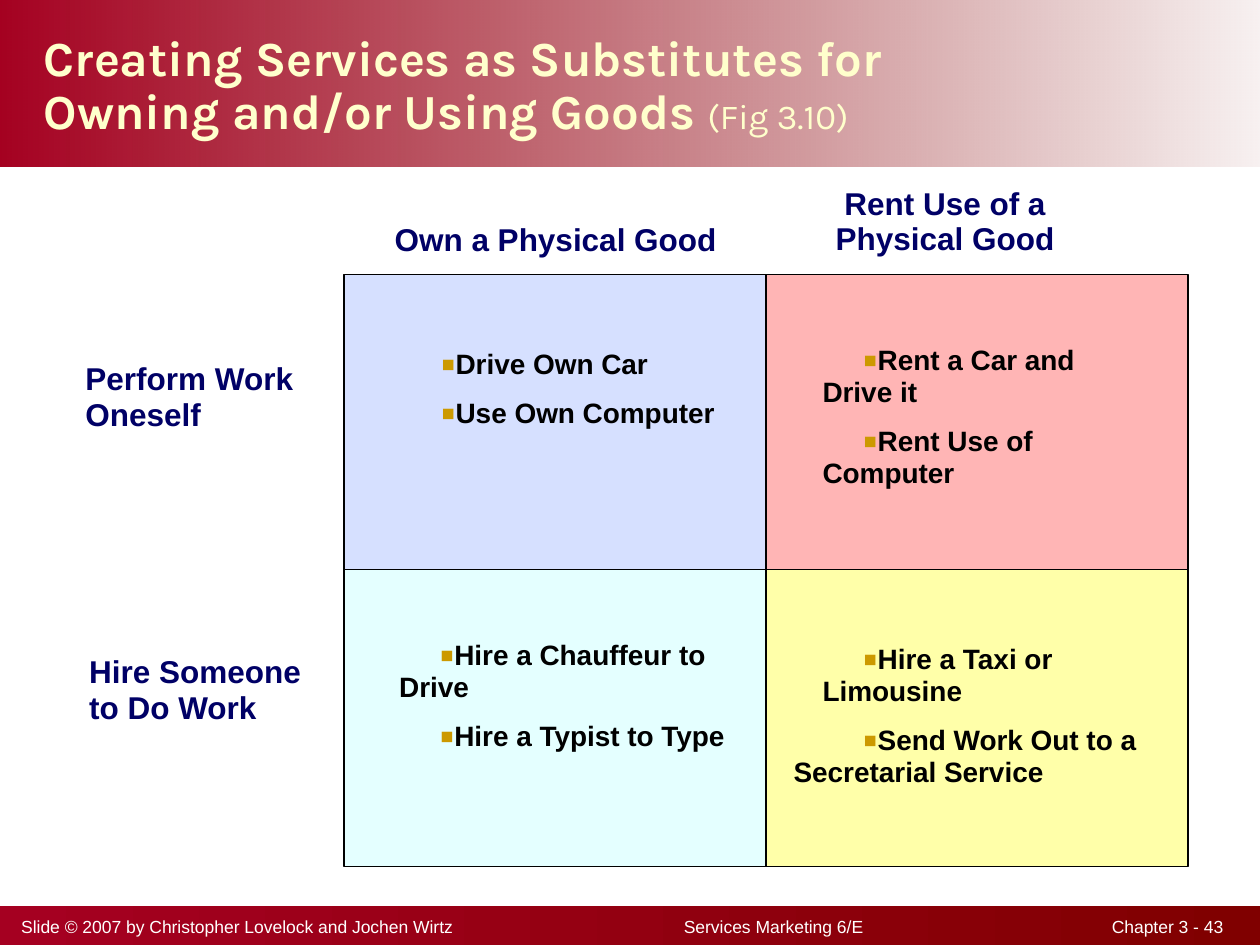
from lxml import etree
from pptx import Presentation
from pptx.dml.color import RGBColor
from pptx.enum.shapes import MSO_SHAPE
from pptx.enum.text import MSO_ANCHOR, PP_ALIGN
from pptx.oxml.ns import qn
from pptx.util import Inches, Pt

RECTANGLE = MSO_SHAPE.RECTANGLE
TOP, MIDDLE = MSO_ANCHOR.TOP, MSO_ANCHOR.MIDDLE
LEFT, CENTER = PP_ALIGN.LEFT, PP_ALIGN.CENTER

MAROON, CRIMSON, NAVY, BLACK = "800000", "A50021", "000066", "000000"
CREAM, WHITE, GOLD = "FFFFCC", "FFFFFF", "CC9900"

COLUMN_LEFTS, COLUMN_WIDTH = (2.73, 6.08), 3.35
ROW_TOPS, ROW_HEIGHTS = (2.18, 4.52), (2.34, 2.36)

# Each quadrant: row, column, fill, opacity, text box, bulleted lines, closing line
QUADRANTS = [
    (0, 0, "3366FF", 20, (2.85, 2.72, 3.08, 0.75),
     ["Drive Own Car", "Use Own Computer"], None),
    (0, 1, "FF0000", 29, (6.2, 2.69, 2.94, 2.04),
     ["Rent a Car and Drive it", "Rent Use of Computer"], None),
    (1, 0, "CCFFFF", 53, (2.84, 5.03, 3.24, 1),
     ["Hire a Chauffeur to Drive", "Hire a Typist to Type"], None),
    (1, 1, "FFFF99", 84, (6.2, 5.06, 3.21, 1.25),
     ["Hire a Taxi or Limousine", "Send Work Out to a"], "Secretarial Service"),
]


def rgb(color):
    """Turn a hex string into a colour."""
    return RGBColor.from_string(color)


def add_child(parent, tag, **attributes):
    """Append a DrawingML element to its parent."""
    child = etree.SubElement(parent, qn(tag))
    for name, value in attributes.items():
        child.set(name, str(value))
    return child


def set_opacity(fill_color, percent):
    """Give a colour element an opacity in percent."""
    add_child(fill_color, "a:alpha", val=percent * 1000)


def add_rectangle(slide, box):
    """Add a rectangle without shadow."""
    rectangle = slide.shapes.add_shape(RECTANGLE, *map(Inches, box))
    rectangle.shadow.inherit = False
    return rectangle


def add_text_frame(slide, box, anchor=TOP):
    """Add a wrapping text box and return its frame."""
    frame = slide.shapes.add_textbox(*map(Inches, box)).text_frame
    frame.word_wrap = True
    frame.vertical_anchor = anchor
    return frame


def add_paragraph(frame, index, text, spacing=None):
    """Return the paragraph at an index, filled with text."""
    paragraph = frame.add_paragraph() if index else frame.paragraphs[0]
    paragraph.text = text
    paragraph.line_spacing = spacing
    return paragraph


def set_font(font, size, color, bold=False, name="Arial"):
    """Set the face, size, weight and colour of a font."""
    font.name, font.size, font.bold = name, Pt(size), bold
    font.color.rgb = rgb(color)


def add_band(slide, box, right_opacity=100):
    """Add a band that runs from crimson at left to maroon at right."""
    band = add_rectangle(slide, box)
    band.line.fill.background()
    band.fill.gradient()
    band.fill.gradient_angle = 180
    for stop, color in zip(band.fill.gradient_stops, (MAROON, CRIMSON)):
        stop.color.rgb = rgb(color)
    if right_opacity < 100:
        set_opacity(band.fill._fill._gradFill.find(".//" + qn("a:srgbClr")), right_opacity)


def add_title(slide, box):
    """Add the two-line title with its figure number."""
    frame = add_text_frame(slide, box, MIDDLE)
    title = add_paragraph(
        frame, 0, "Creating Services as Substitutes for\vOwning and/or Using Goods ", 0.9)
    set_font(title.font, 28, CREAM, True, "Karla")
    figure = title.add_run()
    figure.text = "(Fig 3.10)"
    figure.font.size, figure.font.bold = Pt(20), False


def add_footer(slide, box):
    """Add the footer line with a centred and a right-aligned tab."""
    footer = add_paragraph(
        add_text_frame(slide, box), 0,
        "Slide © 2007 by Christopher Lovelock and Jochen Wirtz"
        "\tServices Marketing 6/E\tChapter 3 - 43")
    tabs = add_child(footer._p.get_or_add_pPr(), "a:tabLst")
    for position, alignment in ((5.97, "ctr"), (9.54, "r")):
        add_child(tabs, "a:tab", pos=Inches(position), algn=alignment)
    set_font(footer.font, 10, WHITE)


def add_heading(slide, box, lines, alignment=LEFT, first_line_inset=0):
    """Add a row or column heading."""
    frame = add_text_frame(slide, box)
    for index, line in enumerate(lines):
        heading = add_paragraph(frame, index, line, 0.95)
        heading.alignment = alignment
        if first_line_inset and index == 0:
            heading._p.get_or_add_pPr().set("marR", str(Inches(first_line_inset)))
        set_font(heading.font, 18, NAVY, True)


def add_cell(slide, box, fill, opacity):
    """Add one outlined cell of the matrix."""
    cell = add_rectangle(slide, box)
    cell.fill.solid()
    cell.fill.fore_color.rgb = rgb(fill)
    set_opacity(cell.fill._xPr.find(".//" + qn("a:srgbClr")), opacity)
    cell.line.color.rgb = rgb(BLACK)
    cell.line.width = Pt(0.75)


def add_examples(slide, box, examples, closing):
    """Add the bulleted examples of a cell and an optional closing line."""
    frame = add_text_frame(slide, box)
    for index, text in enumerate(examples):
        example = add_paragraph(frame, index, text, 0.95)
        if index:
            example.space_before = Pt(10)
        properties = example._p.get_or_add_pPr()
        properties.set("marL", str(Inches(0.23)))
        properties.set("indent", str(Inches(0.32)))
        add_child(add_child(properties, "a:buClr"), "a:srgbClr", val=GOLD)
        add_child(properties, "a:buSzPct", val=150000)
        add_child(properties, "a:buFont", typeface="Arial")
        add_child(properties, "a:buChar", char="▪")
        set_font(example.font, 16, BLACK, True)
    if closing:
        set_font(add_paragraph(frame, len(examples), closing, 0.95).font, 16, BLACK, True)


def add_matrix(slide):
    """Add the two-by-two matrix with its examples."""
    for row, column, fill, opacity, text_box, examples, closing in QUADRANTS:
        cell_box = (COLUMN_LEFTS[column], ROW_TOPS[row], COLUMN_WIDTH, ROW_HEIGHTS[row])
        add_cell(slide, cell_box, fill, opacity)
        add_examples(slide, text_box, examples, closing)


def main():
    """Build and save the slide."""
    deck = Presentation()
    deck.slide_width, deck.slide_height = Inches(10), Inches(7.5)
    slide = deck.slides.add_slide(deck.slide_layouts[6])
    add_band(slide, (0, 0, 10, 1.32), right_opacity=6)
    add_band(slide, (0, 7.19, 10, 0.31))
    add_footer(slide, (0.07, 7.22, 9.83, 0.27))
    add_title(slide, (0.25, 0.03, 8.25, 1.32))
    add_matrix(slide)
    add_heading(slide, (2.75, 1.72, 3.32, 0.39), ["Own a Physical Good"], CENTER)
    add_heading(slide, (6.09, 1.43, 3.32, 0.67), ["Rent Use of a", "Physical Good"], CENTER, 0.5)
    add_heading(slide, (0.58, 2.82, 2.02, 0.67), ["Perform Work Oneself"])
    add_heading(slide, (0.61, 5.15, 2.03, 0.67), ["Hire Someone to Do Work"])
    deck.save("out.pptx")


if __name__ == "__main__":
    main()
